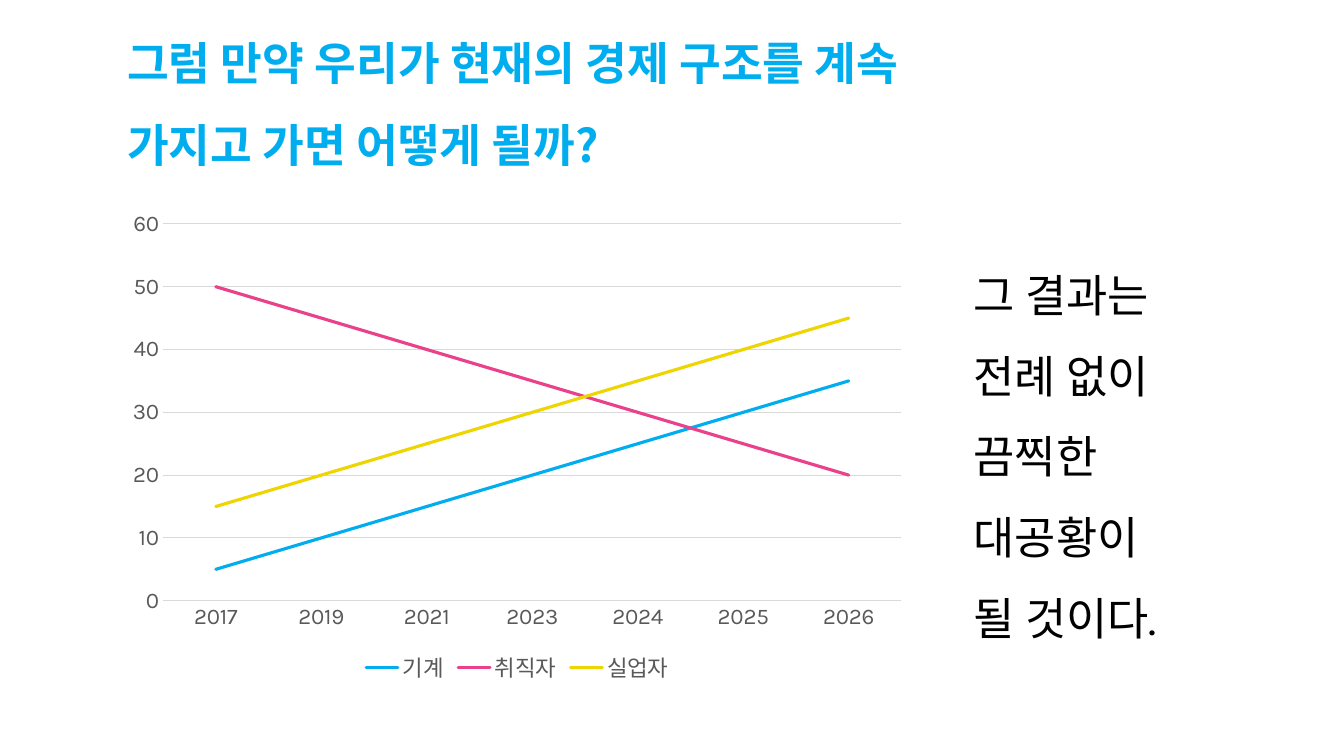
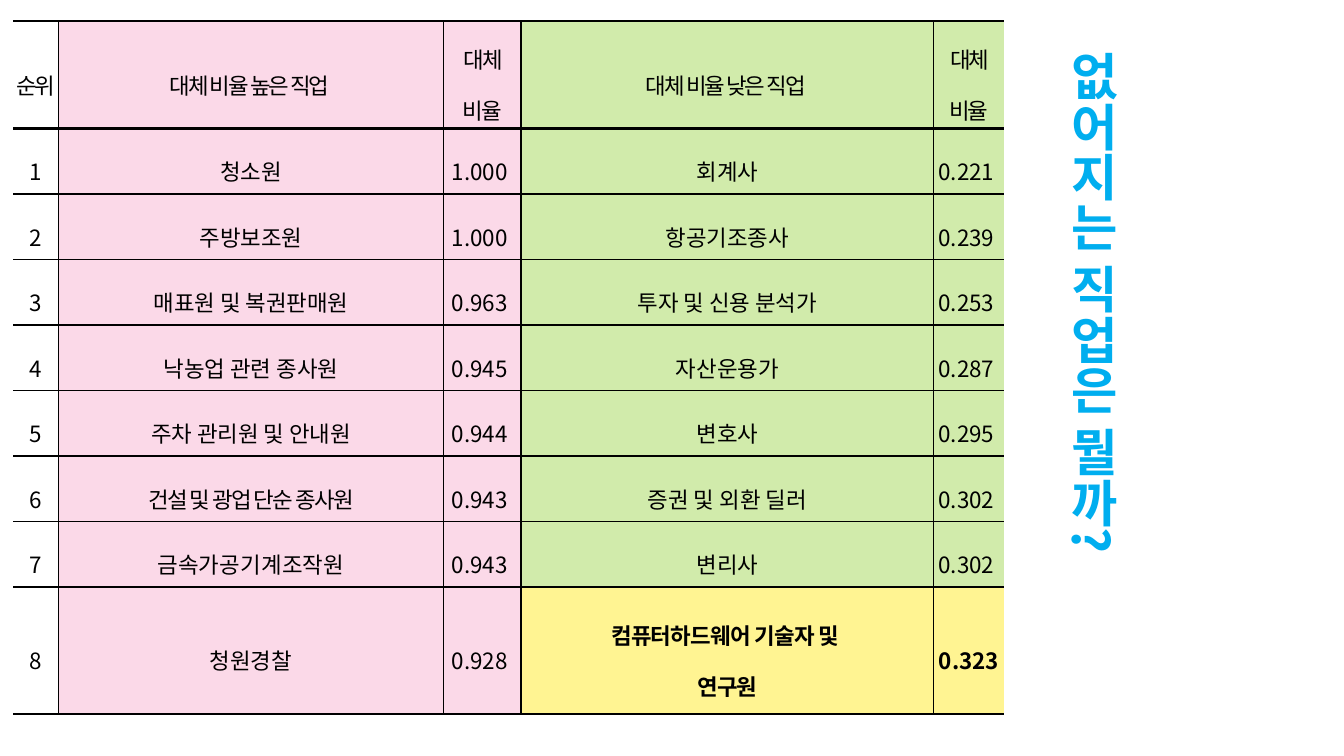
from copy import deepcopy

from lxml.etree import SubElement
from pptx import Presentation
from pptx.chart.data import CategoryChartData
from pptx.dml.color import RGBColor
from pptx.enum.chart import XL_CHART_TYPE, XL_LEGEND_POSITION, XL_MARKER_STYLE, XL_TICK_MARK
from pptx.enum.text import MSO_ANCHOR, MSO_AUTO_SIZE, PP_ALIGN
from pptx.oxml.ns import qn
from pptx.util import Inches, Pt

HEAD = "Noto Sans CJK KR"
BODY = "Karla"
BLUE, ROSE, GOLD = "00AEEF", "EA428A", "EED500"
PINK, GREEN, CREAM = "FBD9E8", "D1EBAB", "FFF492"
BLACK, GREY, PALE = "000000", "595959", "D9D9D9"

YEARS = ["2017", "2019", "2021", "2023", "2024", "2025", "2026"]
TRENDS = [
    ("기계", range(5, 36, 5), BLUE),
    ("취직자", range(50, 19, -5), ROSE),
    ("실업자", range(15, 46, 5), GOLD),
]

HEADER = ["순위", "대체 비율 높은 직업 ", "대체 비율", "대체 비율 낮은 직업 ", "대체 비율"]
JOBS = [
    ("청소원", "1.000 ", "회계사", "0.221 "),
    ("주방보조원", "1.000 ", "항공기조종사", "0.239 "),
    ("매표원 및 복권판매원", "0.963 ", "투자 및 신용 분석가", "0.253 "),
    ("낙농업 관련 종사원", "0.945 ", "자산운용가", "0.287 "),
    ("주차 관리원 및 안내원", "0.944 ", "변호사", "0.295 "),
    ("건설 및 광업 단순 종사원", "0.943 ", "증권 및 외환 딜러", "0.302 "),
    ("금속가공기계조작원", "0.943 ", "변리사", "0.302 "),
    ("청원경찰", "0.928 ", "컴퓨터하드웨어 기술자 및 \n연구원", "0.323 "),
]
WIDTHS = [0.45, 3.82, 0.77, 4.09, 0.7]
HEIGHTS = [0.94] + [0.65] * 7 + [1.26]
FILLS = [None, PINK, PINK, GREEN, GREEN]
UPRIGHT = [0, 1.13, 1.13, 1.98, 1.13, 0]
LEVEL = [1.7, 1.98] + [1.13] * 8
TRACKS = {(6, 1): -1.1, (7, 1): 0.2, (8, 3): -0.5}


def color(code):
    """Turn a hex string into a colour."""
    return RGBColor.from_string(code)


def set_font(font, size, code, face, bold=False):
    """Set size, colour, typeface and weight of a font."""
    font.size = Pt(size)
    font.color.rgb = color(code)
    font.name = face
    font.bold = bold


def style(frame, size, code, face, bold=False, lead=1.5, align=PP_ALIGN.LEFT, track=0):
    """Format all paragraphs and runs of a text frame."""
    for para in frame.paragraphs:
        para.line_spacing = lead
        para.alignment = align
        for run in para.runs:
            set_font(run.font, size, code, face, bold)
            props = run._r.get_or_add_rPr()
            SubElement(props, qn("a:ea")).set("typeface", HEAD)
            if track:
                props.set("spc", str(round(track * 100)))
        for gap in para._p.findall(qn("a:br")):
            gap.insert(0, deepcopy(para.runs[0]._r.rPr))


def place(shape, box):
    """Move a shape to a box given in inches."""
    shape.left, shape.top, shape.width, shape.height = map(Inches, box)


def add_title(slide, text, box, size, upright=False):
    """Fill and format the title placeholder."""
    title = slide.shapes.title
    place(title, box)
    frame = title.text_frame
    frame.text = text
    frame.word_wrap = True
    frame.auto_size = MSO_AUTO_SIZE.NONE
    frame.vertical_anchor = MSO_ANCHOR.BOTTOM
    if upright:
        frame._txBody.bodyPr.set("vert", "eaVert")
    style(frame, size, BLUE, HEAD, bold=True)


def add_trend(slide, box):
    """Draw the line chart of machines, workers and jobless."""
    data = CategoryChartData()
    data.categories = YEARS
    for name, values, _ in TRENDS:
        data.add_series(name, list(values))
    chart = slide.shapes.add_chart(XL_CHART_TYPE.LINE, *map(Inches, box), data).chart
    set_font(chart.font, 16, BLACK, BODY)
    chart.has_title = False
    chart.has_legend = True
    chart.legend.position = XL_LEGEND_POSITION.BOTTOM
    chart.legend.include_in_layout = False
    set_font(chart.legend.font, 16, GREY, BODY)
    years, counts = chart.category_axis, chart.value_axis
    for axis in (years, counts):
        axis.major_tick_mark = axis.minor_tick_mark = XL_TICK_MARK.NONE
        set_font(axis.tick_labels.font, 16, GREY, BODY)
    counts.minimum_scale, counts.maximum_scale, counts.major_unit = 0, 60, 10
    counts.has_major_gridlines = True
    counts.format.line.fill.background()
    for line in (years.format.line, counts.major_gridlines.format.line):
        line.color.rgb = color(PALE)
        line.width = Pt(0.75)
    plot = chart.plots[0]
    plot.vary_by_categories = False
    for series, (_, _, code) in zip(plot.series, TRENDS):
        series.smooth = False
        series.marker.style = XL_MARKER_STYLE.NONE
        series.format.line.color.rgb = color(code)
        series.format.line.width = Pt(2.25)
        series.format.line._ln.set("cap", "rnd")


def add_note(slide, text, box):
    """Write a large remark beside the chart."""
    frame = slide.shapes.add_textbox(*map(Inches, box)).text_frame
    frame.text = text
    frame.word_wrap = True
    style(frame, 32, BLACK, BODY)


def add_edges(cell, row, col):
    """Rule the four sides of a cell by its place in the grid."""
    props = cell._tc.get_or_add_tcPr()
    sides = [("L", UPRIGHT[col]), ("R", UPRIGHT[col + 1]), ("T", LEVEL[row]), ("B", LEVEL[row + 1])]
    for spot, (side, width) in enumerate(sides):
        line = props.makeelement(qn(f"a:ln{side}"), {"w": str(Pt(width))})
        props.insert(spot, line)
        if width:
            SubElement(SubElement(line, qn("a:solidFill")), qn("a:srgbClr")).set("val", BLACK)
        else:
            SubElement(line, qn("a:noFill"))


def add_cell(cell, text, row, col):
    """Fill one cell of the job table."""
    last = row == len(JOBS) and col > 2
    cell.margin_left = cell.margin_right = Inches(0.03)
    cell.margin_top = cell.margin_bottom = Inches(0.02)
    cell.vertical_anchor = MSO_ANCHOR.MIDDLE
    cell.text_frame.text = text
    track = TRACKS.get((row, col), 0) if row else -1.4
    style(cell.text_frame, 16, BLACK, HEAD, last, 1.6, PP_ALIGN.CENTER, track)
    fill = CREAM if last else FILLS[col]
    if fill:
        cell.fill.solid()
        cell.fill.fore_color.rgb = color(fill)
    else:
        cell.fill.background()
    add_edges(cell, row, col)


def add_jobs(slide, left, top):
    """Draw the table of jobs by replacement rate."""
    rows = [HEADER] + [(str(rank), *job) for rank, job in enumerate(JOBS, 1)]
    box = (left, top, sum(WIDTHS), sum(HEIGHTS))
    table = slide.shapes.add_table(len(rows), len(WIDTHS), *map(Inches, box)).table
    table.first_row = table.horz_banding = False
    for column, width in zip(table.columns, WIDTHS):
        column.width = Inches(width)
    for row, (texts, height) in enumerate(zip(rows, HEIGHTS)):
        table.rows[row].height = Inches(height)
        for col, text in enumerate(texts):
            add_cell(table.cell(row, col), text, row, col)


def chart_slide(slide):
    """Build the slide on the present economy."""
    add_title(slide, "그럼 만약 우리가 현재의 경제 구조를 계속\v가지고 가면 어떻게 될까?",
              (1.16, 0.58, 9.5, 1.17), 32.4)
    add_trend(slide, (1.16, 2, 7.94, 4.82))
    add_note(slide, "그 결과는 전례 없이 끔찍한 대공황이 될 것이다.", (9.56, 2.34, 2.2, 4.14))


def table_slide(slide):
    """Build the slide on vanishing jobs."""
    add_title(slide, "없어지는 직업은 뭘까?", (10.44, 0.46, 2.2, 6.58), 36, upright=True)
    add_jobs(slide, 0.13, 0.21)


def main():
    """Build and save the deck."""
    deck = Presentation()
    deck.slide_width, deck.slide_height = Inches(13.33), Inches(7.5)
    for build in (chart_slide, table_slide):
        build(deck.slides.add_slide(deck.slide_layouts[5]))
    deck.save("out.pptx")


if __name__ == "__main__":
    main()
